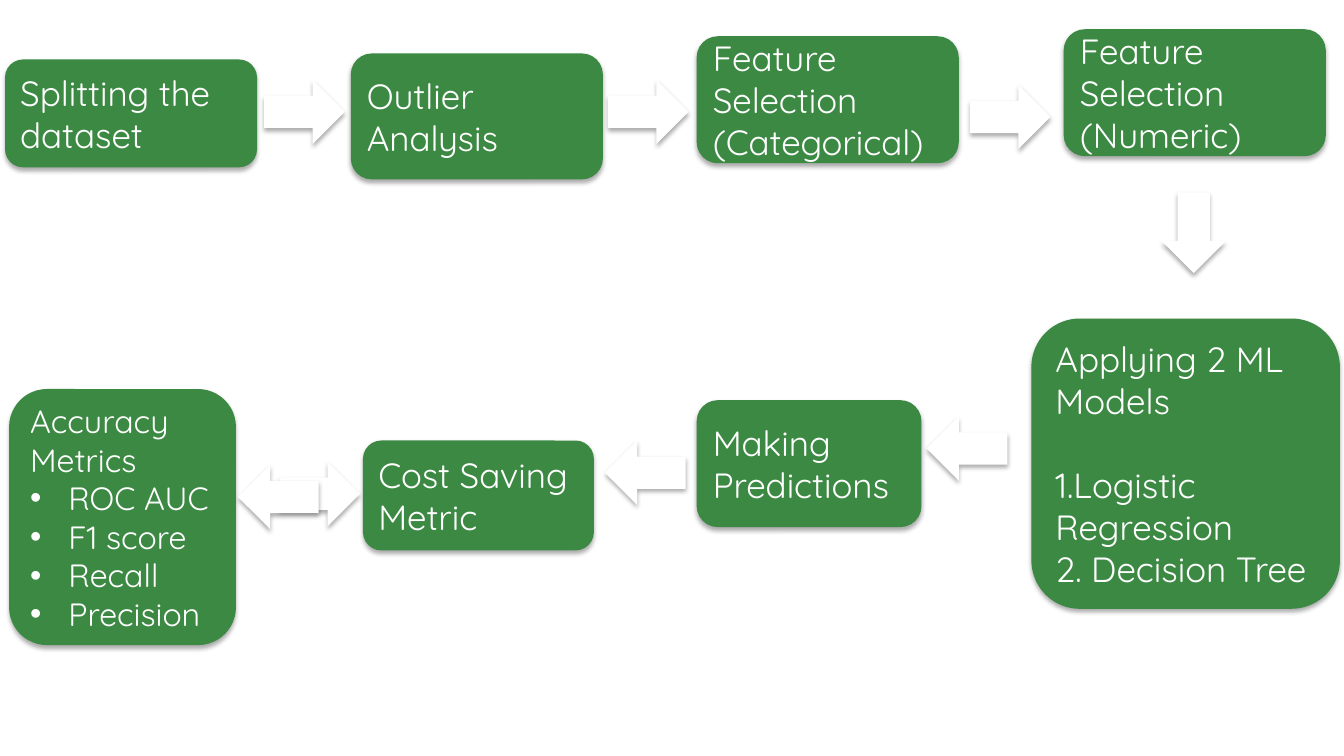
from lxml import etree
from pptx import Presentation
from pptx import util as u
from pptx.dml import color
from pptx.enum import shapes, text
from pptx.oxml import ns

GREEN, WHITE, BLACK = "3C8943", "FFFFFF", "000000"
BLANK_LINE = 30


def rgb(value):
    return color.RGBColor.from_string(value)


def add_block(kind, left, top, width, height, fill):
    shape = slide.shapes.add_shape(
        kind, u.Inches(left), u.Inches(top), u.Inches(width), u.Inches(height))
    shape.fill.solid()
    shape.fill.fore_color.rgb = rgb(fill)
    shape.line.fill.background()
    shape.shadow.inherit = False
    effects = shape._element.spPr.find(ns.qn("a:effectLst"))
    shadow = etree.SubElement(
        effects, ns.qn("a:outerShdw"), blurRad=str(u.Pt(3.5)),
        dist=str(u.Pt(2.2)), dir="5400000", rotWithShape="0")
    shade = etree.SubElement(shadow, ns.qn("a:srgbClr"), val=BLACK)
    etree.SubElement(shade, ns.qn("a:alpha"), val="32000")
    return shape


presentation = Presentation()
presentation.slide_width = u.Inches(13.33)
presentation.slide_height = u.Inches(7.5)
slide = presentation.slides.add_slide(presentation.slide_layouts[6])

steps = [
    (0.05, 0.59, 2.5, 1.07, 25, ["Splitting the dataset"]),
    (3.48, 0.53, 2.5, 1.25, 25, ["Outlier Analysis"]),
    (6.91, 0.36, 2.6, 1.26, 25, ["Feature Selection (Categorical)"]),
    (10.55, 0.29, 2.6, 1.26, 25, ["Feature Selection", "(Numeric)"]),
    (10.23, 3.16, 3.06, 2.88, 25,
     ["Applying 2 ML Models", "1.Logistic Regression", "2. Decision Tree"]),
    (6.91, 3.97, 2.23, 1.26, 25, ["Making Predictions"]),
    (3.6, 4.37, 2.29, 1.09, 25, ["Cost Saving Metric"]),
    (0.09, 3.86, 2.25, 2.54, 23,
     ["Accuracy Metrics", "• ROC AUC", "• F1 score", "• Recall", "• Precision"]),
]
for left, top, width, height, size, lines in steps:
    box = add_block(shapes.MSO_SHAPE.ROUNDED_RECTANGLE, left, top, width, height, GREEN)
    frame = box.text_frame
    frame.word_wrap = True
    frame.vertical_anchor = text.MSO_ANCHOR.MIDDLE
    for index, line in enumerate(lines):
        paragraph = frame.add_paragraph() if index else frame.paragraphs[0]
        paragraph.text = line.removeprefix("• ")
        paragraph.alignment = text.PP_ALIGN.LEFT
        if line.startswith("•"):
            properties = paragraph._p.get_or_add_pPr()
            properties.set("marL", str(u.Inches(0.38)))
            properties.set("indent", str(u.Inches(-0.38)))
            etree.SubElement(properties, ns.qn("a:buFont"), typeface="Arial")
            etree.SubElement(properties, ns.qn("a:buChar"), char="•")
        if line.startswith("1."):
            paragraph.space_before = u.Pt(BLANK_LINE)
        paragraph.font.size = u.Pt(size)
        paragraph.font.name = "Quicksand"
        paragraph.font.color.rgb = rgb(WHITE)

arrows = [
    (2.62, 0.79, 0),
    (6.03, 0.79, 0),
    (9.62, 0.84, 0),
    (11.44, 1.99, 90),
    (9.19, 4.13, 180),
    (6, 4.37, 180),
    (2.77, 4.58, 0),
    (2.36, 4.61, 180),
]
for left, top, rotation in arrows:
    arrow = add_block(shapes.MSO_SHAPE.RIGHT_ARROW, left, top, 0.8, 0.64, WHITE)
    arrow.rotation = rotation

presentation.save("out.pptx")
